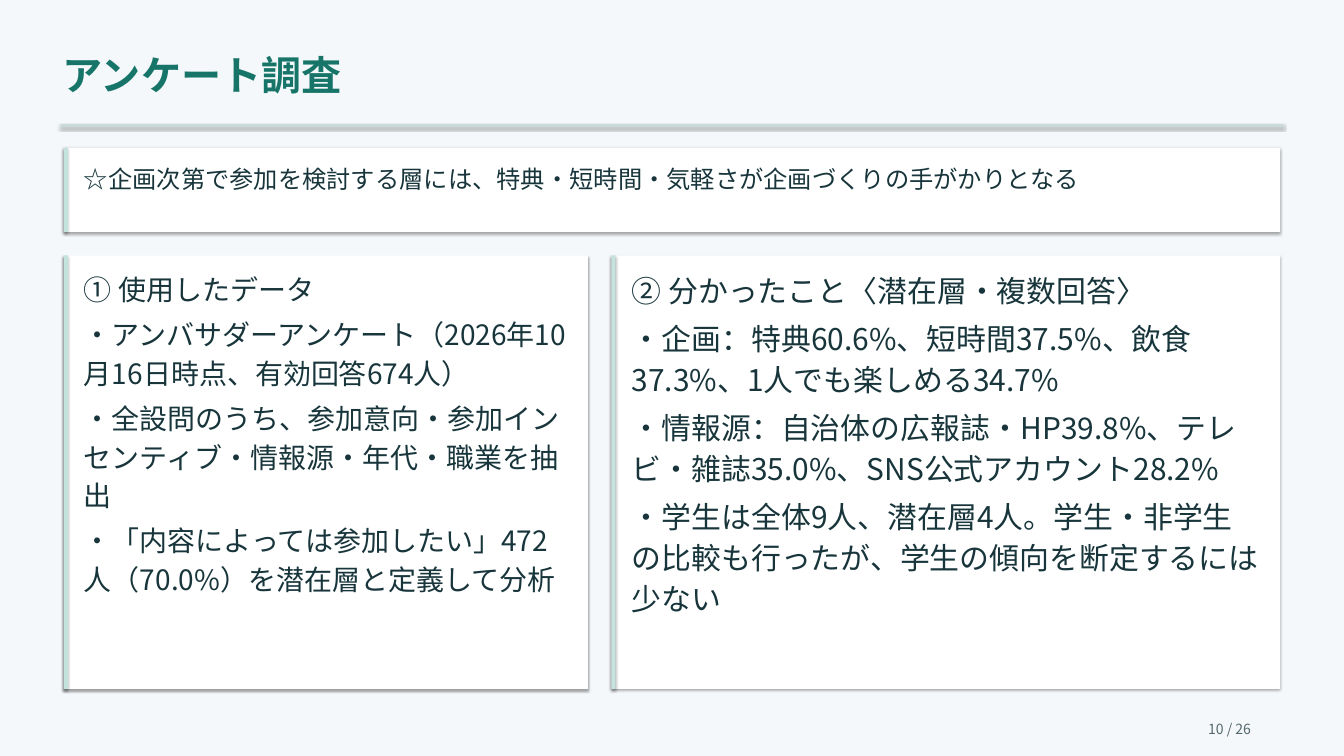
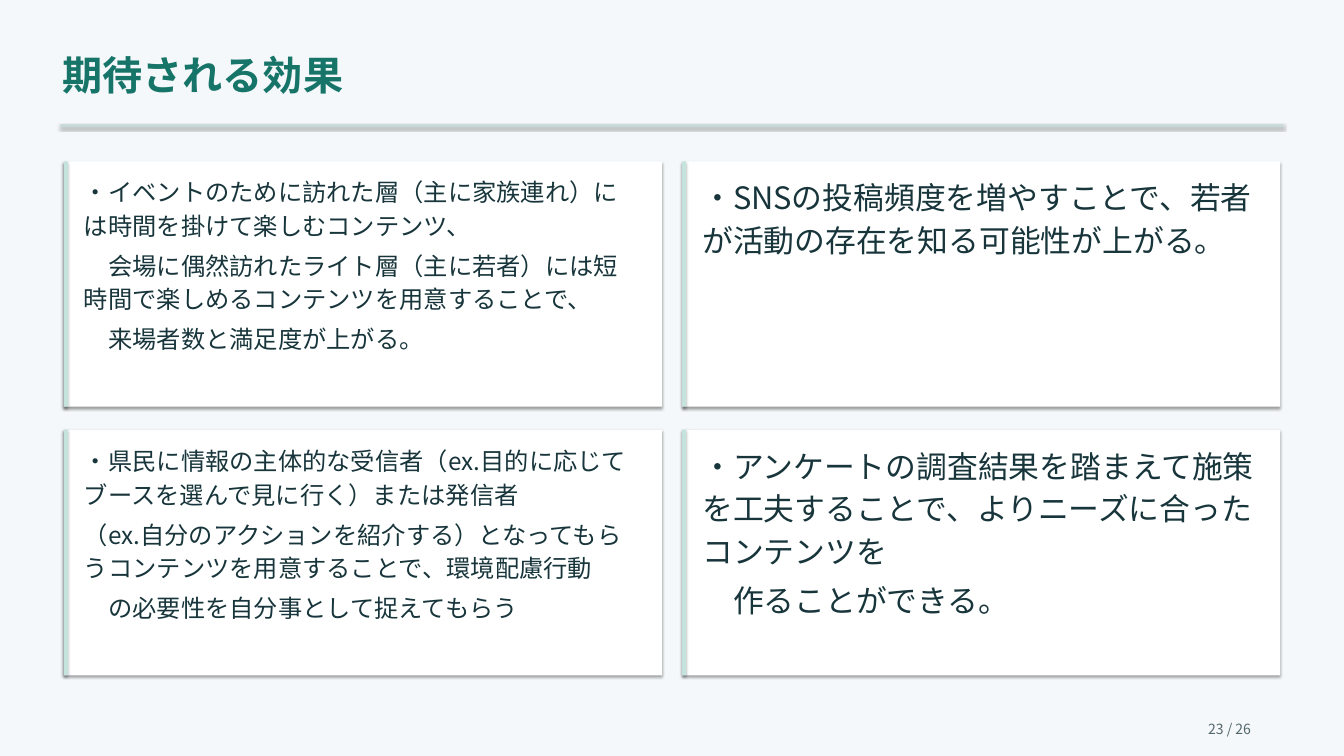
from lxml.etree import SubElement
from pptx import Presentation
from pptx.dml.color import RGBColor
from pptx.enum.shapes import MSO_SHAPE as Preset
from pptx.enum.text import MSO_ANCHOR as Anchor, MSO_AUTO_SIZE as AutoSize, PP_ALIGN as Align
from pptx.oxml.ns import qn
from pptx.util import Inches, Pt

FONT = "Noto Sans CJK JP"
BACKGROUND, WHITE = "F5F8FA", "FFFFFF"
TITLE_GREEN, RULE_GREEN, ACCENT_GREEN = "167568", "C5DAD6", "C5E3DD"
INK, MUTED = "17353B", "53676D"
TOTAL_PAGES = 26
LEFT, CONTENT_WIDTH = 0.95, 18.1


def paint(fill, color):
    fill.solid()
    fill.fore_color.rgb = RGBColor.from_string(color)


def write(frame, lines, size=26, color=INK, bold=False, continued=()):
    frame.word_wrap = True
    frame.auto_size = AutoSize.SHAPE_TO_FIT_TEXT
    frame.vertical_anchor = Anchor.TOP
    frame.margin_left = frame.margin_right = Inches(0.08)
    frame.margin_top = frame.margin_bottom = Inches(0.04)
    for index, line in enumerate([*lines, *continued]):
        para = frame.add_paragraph() if index else frame.paragraphs[0]
        para.alignment = Align.LEFT
        para.line_spacing = 1.15
        para.space_before, para.space_after = Pt(0), Pt(7)
        if index >= len(lines):
            properties = para._p.get_or_add_pPr()
            properties.set("marL", "0")
            properties.set("indent", str(Pt(size)))
        span = para.add_run()
        span.text = line
        font = span.font
        font.name, font.size, font.bold = FONT, Pt(size), bold
        font.color.rgb = RGBColor.from_string(color)
        SubElement(span._r.get_or_add_rPr(), qn("a:ea"), typeface=FONT)


class SurveyDeck:
    """Holds the shared style and the slide being built."""

    def __init__(self):
        self.deck = Presentation()
        self.deck.slide_width, self.deck.slide_height = Inches(20), Inches(11.25)
        paint(self.deck.slide_master.background.fill, BACKGROUND)
        self.page = None

    def add_page(self, title, number):
        self.page = self.deck.slides.add_slide(self.deck.slide_layouts[5])
        heading = self.page.shapes.title
        heading.left, heading.top = Inches(0.85), Inches(0.6)
        heading.width, heading.height = Inches(18.3), Inches(1)
        write(heading.text_frame, [title], size=43, color=TITLE_GREEN, bold=True)
        self.panel(0.9, 1.85, 18.2, 0.04, RULE_GREEN)
        self.text(17.9, 10.65, 1.2, 0.3, [f"{number} / {TOTAL_PAGES}"], size=15, color=MUTED)

    def text(self, left, top, width, height, lines, **style):
        box = self.page.shapes.add_textbox(*map(Inches, (left, top, width, height)))
        write(box.text_frame, lines, **style)

    def panel(self, left, top, width, height, color):
        shape = self.page.shapes.add_shape(
            Preset.RECTANGLE, *map(Inches, (left, top, width, height)))
        paint(shape.fill, color)
        shape.line.fill.background()
        shape.shadow.inherit = False
        effects = shape._element.spPr.find(qn("a:effectLst"))
        shadow = SubElement(effects, qn("a:outerShdw"), blurRad=str(Pt(3.1)),
                            dist=str(Pt(1.8)), dir="5400000", rotWithShape="0")
        shade = SubElement(shadow, qn("a:srgbClr"), val="000000")
        SubElement(shade, qn("a:alpha"), val="35000")

    def card(self, left, top, width, height, lines, **style):
        self.panel(left, top, width, height, WHITE)
        self.panel(left, top, 0.06, height, ACCENT_GREEN)
        self.text(left + 0.22, top + 0.14, width - 0.44, height - 0.28, lines, **style)


def build_survey(survey):
    survey.add_page("アンケート調査", 10)
    survey.card(LEFT, 2.2, CONTENT_WIDTH, 1.25, [
        "☆企画次第で参加を検討する層には、特典・短時間・気軽さが企画づくりの手がかりとなる"])
    survey.card(LEFT, 3.8, 7.8, 6.45, [
        "① 使用したデータ",
        "・アンバサダーアンケート（2026年10月16日時点、有効回答674人）",
        "・全設問のうち、参加意向・参加インセンティブ・情報源・年代・職業を抽出",
        "・「内容によっては参加したい」472人（70.0%）を潜在層と定義して分析",
    ], size=30)
    survey.card(9.1, 3.8, 9.95, 6.45, [
        "② 分かったこと〈潜在層・複数回答〉",
        "・企画：特典60.6%、短時間37.5%、飲食37.3%、1人でも楽しめる34.7%",
        "・情報源：自治体の広報誌・HP39.8%、テレビ・雑誌35.0%、SNS公式アカウント28.2%",
        "・学生は全体9人、潜在層4人。学生・非学生の比較も行ったが、学生の傾向を断定するには少ない",
    ], size=32)


def build_effects(survey):
    survey.add_page("期待される効果", 23)
    effects = [
        (26, ["・イベントのために訪れた層（主に家族連れ）には時間を掛けて楽しむコンテンツ、"],
         ["会場に偶然訪れたライト層（主に若者）には短時間で楽しめるコンテンツを用意することで、",
          "来場者数と満足度が上がる。"]),
        (33, ["・SNSの投稿頻度を増やすことで、若者が活動の存在を知る可能性が上がる。"], []),
        (26, ["・県民に情報の主体的な受信者（ex.目的に応じてブースを選んで見に行く）または発信者",
              "（ex.自分のアクションを紹介する）となってもらうコンテンツを用意することで、環境配慮行動"],
         ["の必要性を自分事として捉えてもらう"]),
        (33, ["・アンケートの調査結果を踏まえて施策を工夫することで、よりニーズに合ったコンテンツを"],
         ["作ることができる。"]),
    ]
    width, height, column_gap, row_gap = 8.9, 3.65, 0.3, 0.35
    for index, (size, lines, continued) in enumerate(effects):
        row, column = divmod(index, 2)
        survey.card(LEFT + column * (width + column_gap), 2.4 + row * (height + row_gap),
                    width, height, lines, size=size, continued=continued)


def main():
    survey = SurveyDeck()
    build_survey(survey)
    build_effects(survey)
    survey.deck.save("out.pptx")


if __name__ == "__main__":
    main()
